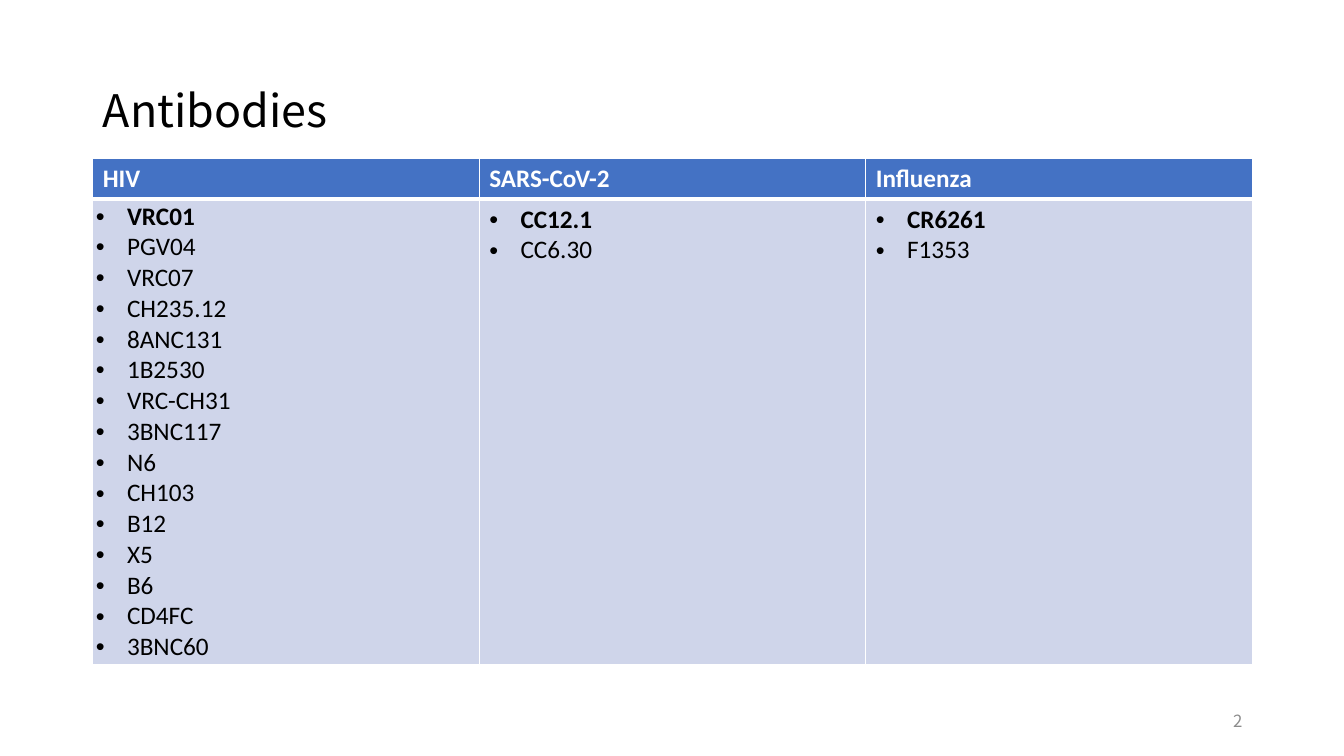
from lxml.etree import SubElement
from pptx import Presentation
from pptx.dml.color import RGBColor
from pptx.enum.text import MSO_ANCHOR, PP_ALIGN
from pptx.oxml.ns import qn
from pptx.util import Inches, Pt

BLACK = RGBColor(0x00, 0x00, 0x00)
WHITE = RGBColor(0xFF, 0xFF, 0xFF)
GREY = RGBColor(0x8C, 0x8C, 0x8C)
HEADER_BLUE = RGBColor(0x44, 0x72, 0xC4)
BODY_BLUE = RGBColor(0xCF, 0xD5, 0xEA)

TITLE_FONT = "Noto Sans CJK SC"
TABLE_FONT = "Calibri"
ROW_HEIGHTS = (0.4, 4.62)
BULLET_INDENT = Inches(0.31)

# The first antibody of each virus is set in bold.
ANTIBODIES = {
    "HIV": ["VRC01", "PGV04", "VRC07", "CH235.12", "8ANC131", "1B2530",
            "VRC-CH31", "3BNC117", "N6", "CH103", "B12", "X5", "B6",
            "CD4FC", "3BNC60"],
    "SARS-CoV-2": ["CC12.1", "CC6.30"],
    "Influenza": ["CR6261", "F1353"],
}


def style_font(font, color, **values):
    font.color.rgb = color
    for name, value in values.items():
        setattr(font, name, value)


def add_bullet(paragraph):
    properties = paragraph._p.get_or_add_pPr()
    properties.set("marL", str(BULLET_INDENT))
    properties.set("indent", str(-BULLET_INDENT))
    SubElement(properties, qn("a:buFont"), typeface="Arial")
    SubElement(properties, qn("a:buChar"), char="•")


def style_cell(cell, fill, bottom_width):
    """Draw white borders, 1 pt except at the bottom, then fill the cell."""
    properties = cell._tc.get_or_add_tcPr()
    for side, width in {"L": 1, "R": 1, "T": 1, "B": bottom_width}.items():
        line = SubElement(properties, qn(f"a:ln{side}"), w=str(Pt(width)))
        solid = SubElement(line, qn("a:solidFill"))
        SubElement(solid, qn("a:srgbClr"), val=str(WHITE))
    cell.fill.solid()
    cell.fill.fore_color.rgb = fill


def fill_header(cell, virus):
    style_cell(cell, HEADER_BLUE, bottom_width=3)
    cell.text = virus
    style_font(cell.text_frame.paragraphs[0].runs[0].font, WHITE,
               name=TABLE_FONT, size=Pt(18), bold=True)


def fill_antibodies(cell, names):
    style_cell(cell, BODY_BLUE, bottom_width=1)
    cell.text = "\n".join(names)
    for index, paragraph in enumerate(cell.text_frame.paragraphs):
        add_bullet(paragraph)
        style_font(paragraph.runs[0].font, BLACK,
                   name=TABLE_FONT, size=Pt(18), bold=index == 0)


def add_title(slide, left, top, width, height):
    title = slide.shapes.title
    title.left, title.top = Inches(left), Inches(top)
    title.width, title.height = Inches(width), Inches(height)
    title.text_frame.text = "Antibodies"
    title.text_frame.vertical_anchor = MSO_ANCHOR.MIDDLE
    heading = title.text_frame.paragraphs[0]
    heading.alignment = PP_ALIGN.LEFT
    heading.line_spacing = 0.9
    style_font(heading.runs[0].font, BLACK, name=TITLE_FONT, size=Pt(32))


def add_antibody_table(slide, left, top, width):
    table = slide.shapes.add_table(
        len(ROW_HEIGHTS), len(ANTIBODIES), Inches(left), Inches(top),
        Inches(width), Inches(sum(ROW_HEIGHTS))).table
    for row, height in zip(table.rows, ROW_HEIGHTS):
        row.height = Inches(height)
    for column, (virus, names) in enumerate(ANTIBODIES.items()):
        fill_header(table.cell(0, column), virus)
        fill_antibodies(table.cell(1, column), names)

    margins = {"margin_left": 0.03, "margin_right": 0.03,
               "margin_top": 0.02, "margin_bottom": 0.02}
    for name, value in margins.items():
        setattr(table.cell(1, 0), name, Inches(value))


def add_page_number(slide, left, top, width, height):
    frame = slide.shapes.add_textbox(
        Inches(left), Inches(top), Inches(width), Inches(height)).text_frame
    frame.word_wrap = True
    frame.vertical_anchor = MSO_ANCHOR.MIDDLE
    frame.text = "2"
    number = frame.paragraphs[0]
    number.alignment = PP_ALIGN.RIGHT
    style_font(number.runs[0].font, GREY, name=TITLE_FONT, size=Pt(12))


def main():
    presentation = Presentation()
    presentation.slide_width = Inches(13.33)
    presentation.slide_height = Inches(7.5)
    title_only = presentation.slide_layouts.get_by_name("Title Only")
    slide = presentation.slides.add_slide(title_only)
    add_title(slide, 0.92, 0.4, 11.5, 1.45)
    add_antibody_table(slide, 0.92, 1.57, 11.5)
    add_page_number(slide, 9.42, 6.95, 3, 0.4)
    presentation.save("out.pptx")


if __name__ == "__main__":
    main()
